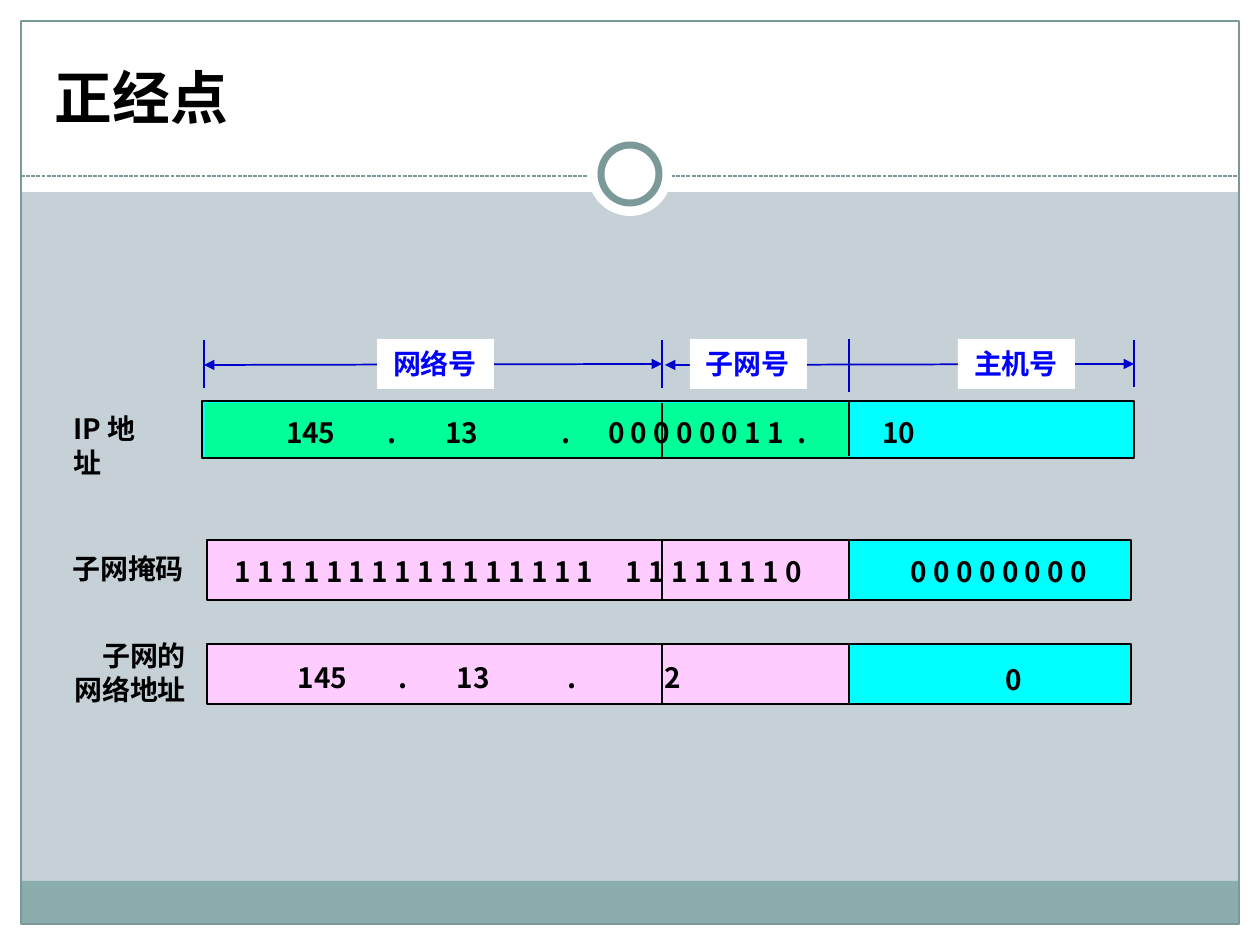
import pptx
import pptx.util
import pptx.dml.color
import pptx.enum.dml
import pptx.enum.shapes
import pptx.enum.text
import pptx.oxml.ns
import lxml.etree

PX = 914400 // 126
FONT = "Noto Sans CJK SC"
RGB = pptx.dml.color.RGBColor
WHITE = RGB(0xFF, 0xFF, 0xFF)
BLACK = RGB(0, 0, 0)
BACKDROP = RGB(0xC5, 0xD1, 0xD7)
FOOTER = RGB(0x8C, 0xAD, 0xAE)
FRAME = RGB(0x7C, 0x99, 0x9A)
NAVY = RGB(0, 0, 0xCC)
BLUE = RGB(0, 0, 0xFF)
CYAN = RGB(0, 0xFF, 0xFF)
GREEN = RGB(0, 0xFF, 0x99)
PINK = RGB(0xFF, 0xCC, 0xFF)
RECT = pptx.enum.shapes.MSO_SHAPE.RECTANGLE
OVAL = pptx.enum.shapes.MSO_SHAPE.OVAL
LEFT = pptx.enum.text.PP_ALIGN.LEFT
RIGHT = pptx.enum.text.PP_ALIGN.RIGHT
TOP = pptx.enum.text.MSO_ANCHOR.TOP
BOTTOM = pptx.enum.text.MSO_ANCHOR.BOTTOM
qn = pptx.oxml.ns.qn

prs = pptx.Presentation()
prs.slide_width = pptx.util.Inches(10)
prs.slide_height = pptx.util.Inches(7.5)
s = prs.slides.add_slide(prs.slide_layouts[6])
s.background.fill.solid()
s.background.fill.fore_color.rgb = BACKDROP


def add_box(kind, box, fill=None, line=None, width=1):
    sp = s.shapes.add_shape(kind, *(v * PX for v in box))
    sp.shadow.inherit = False
    if fill is None:
        sp.fill.background()
    else:
        sp.fill.solid()
        sp.fill.fore_color.rgb = fill
    if line is None:
        sp.line.fill.background()
    else:
        sp.line.color.rgb = line
        sp.line.width = pptx.util.Pt(width)


def add_text(text, box, size=16, color=BLACK, fill=None, align=LEFT,
             anchor=TOP, wrap=True, inset=(16, 8), tabs=()):
    sp = s.shapes.add_textbox(*(v * PX for v in box))
    if fill is not None:
        sp.fill.solid()
        sp.fill.fore_color.rgb = fill
    tf = sp.text_frame
    tf.word_wrap = wrap
    tf.vertical_anchor = anchor
    tf.margin_left = tf.margin_right = inset[0] * PX
    tf.margin_top = tf.margin_bottom = inset[1] * PX
    tf.text = text
    for p in tf.paragraphs:
        p.alignment = align
        if tabs:
            stops = lxml.etree.SubElement(p._p.get_or_add_pPr(), qn("a:tabLst"))
            for pos in tabs:
                lxml.etree.SubElement(stops, qn("a:tab"), pos=str(pos * PX), algn="l")
        for r in p.runs:
            r.font.size = pptx.util.Pt(size)
            r.font.bold = True
            r.font.name = FONT
            r.font.color.rgb = color
            lxml.etree.SubElement(r._r.get_or_add_rPr(), qn("a:ea"), typeface=FONT)


for box, fill in [
    ((0, 924, 1260, 21), WHITE),
    ((0, 0, 1260, 192), WHITE),
    ((0, 0, 21, 945), WHITE),
    ((1239, 0, 21, 945), WHITE),
    ((21, 881, 1217, 43), FOOTER),
]:
    add_box(RECT, box, fill)
add_box(RECT, (21, 21, 1218, 903), line=FRAME, width=0.75)

add_box(RECT, (202, 401, 932, 57), CYAN, BLACK)
add_box(RECT, (205, 403, 644, 54), GREEN)
for y in (540, 644):
    add_box(RECT, (849, y, 282, 60), CYAN, BLACK)
    add_box(RECT, (207, y, 642, 60), PINK, BLACK, 0.75)

for x1, y1, x2, y2, color, style in [
    (21, 176, 1239, 176, FRAME, "dash"),
    (849, 339, 849, 392, NAVY, None),
    (204, 365, 662, 364, NAVY, "arrows"),
    (204, 340, 204, 388, NAVY, None),
    (1134, 340, 1134, 387, NAVY, None),
    (665, 365, 1134, 364, NAVY, "arrows"),
    (662, 340, 662, 388, NAVY, None),
    (662, 403, 662, 457, BLACK, None),
    (849, 401, 849, 456, BLACK, None),
    (662, 540, 662, 601, BLACK, None),
    (662, 644, 662, 705, BLACK, None),
]:
    c = s.shapes.add_connector(pptx.enum.shapes.MSO_CONNECTOR.STRAIGHT,
                               x1 * PX, y1 * PX, x2 * PX, y2 * PX)
    c.line.color.rgb = color
    c.line.width = pptx.util.Pt(0.75 if style == "dash" else 1)
    if style == "dash":
        c.line.dash_style = pptx.enum.dml.MSO_LINE.SQUARE_DOT
    if style == "arrows":
        for end in ("a:headEnd", "a:tailEnd"):
            lxml.etree.SubElement(c.line._get_or_add_ln(), qn(end), type="triangle")
    lxml.etree.SubElement(c._element.spPr, qn("a:effectLst"))

add_box(OVAL, (588, 132, 84, 84), WHITE)
add_box(OVAL, (601, 145, 58, 58), WHITE, FRAME, 4)

add_text("正经点", (42, 32, 1176, 105), size=33, anchor=BOTTOM, inset=(13, 6))

for label, x in [("网络号", 377), ("子网号", 690), ("主机号", 958)]:
    add_text(label, (x, 339, 117, 50), color=BLUE, fill=WHITE, wrap=False)

add_text("IP 地址", (57, 404, 110, 84))
add_text("子网掩码", (54, 544, 146, 50), align=RIGHT, wrap=False)
add_text("子网的\n网络地址", (57, 631, 145, 84), align=RIGHT, wrap=False)

add_text("145\t.\t13\t.\t0 0 0 0 0 0 1 1\t.\t10", (270, 408, 788, 50),
         tabs=(101, 159, 275, 322, 511, 596))
add_text("1 1 1 1 1 1 1 1 1 1 1 1 1 1 1 1\t1 1 1 1 1 1 1 0",
         (219, 547, 679, 50), tabs=(391,))
add_text("0 0 0 0 0 0 0 0", (895, 547, 229, 50), wrap=False)
add_text("145\t.\t13\t.\t2", (282, 653, 556, 50), tabs=(101, 159, 269, 367))
add_text("0", (990, 655, 50, 50), wrap=False)

prs.save("out.pptx")
